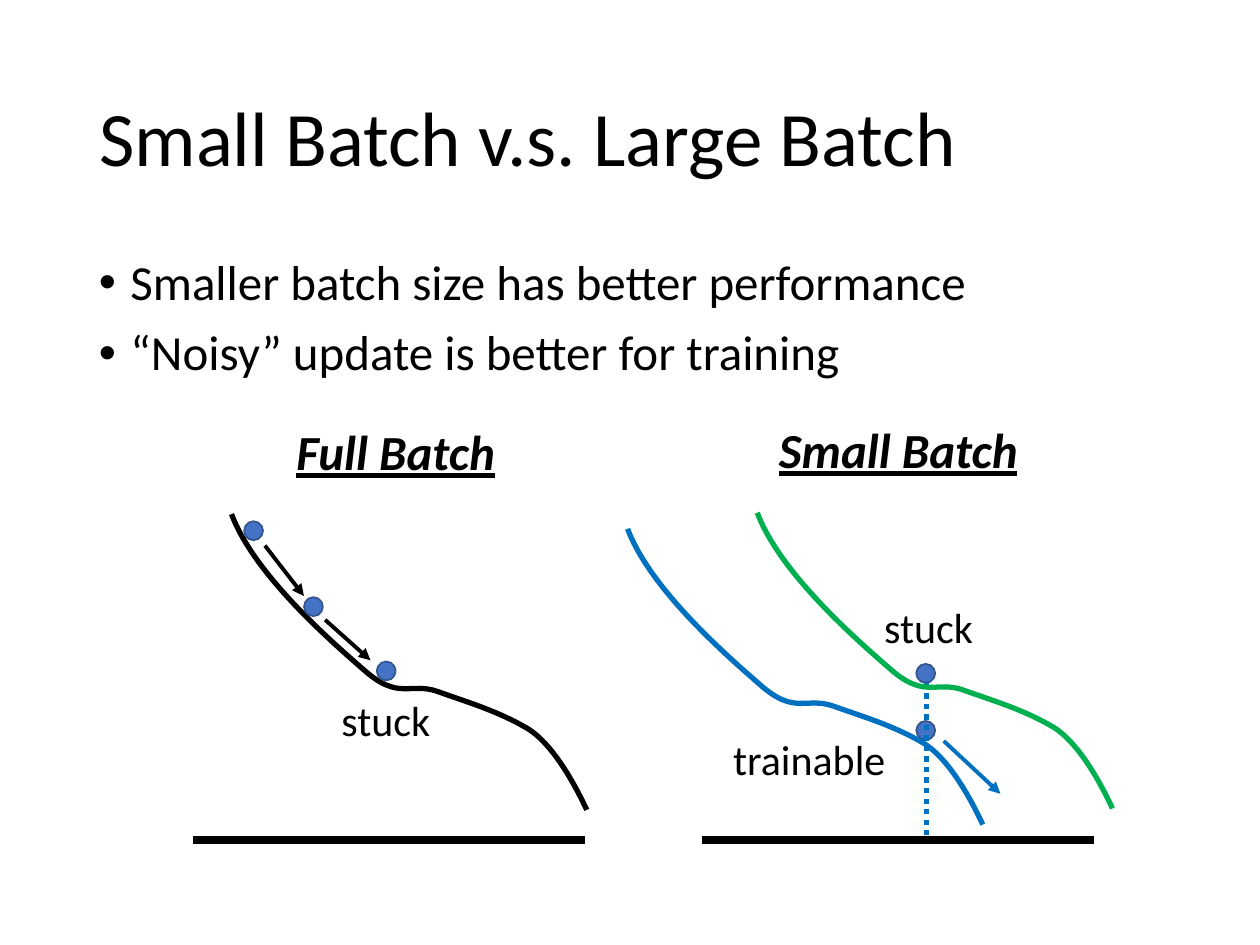
"""Build a slide that compares small and large batch training."""
from lxml.etree import SubElement as Sub
from pptx import Presentation as Deck
from pptx.dml.color import RGBColor as Rgb
from pptx.enum.dml import MSO_LINE as Dash
from pptx.enum.shapes import MSO_CONNECTOR as Link, MSO_SHAPE as Form
from pptx.enum.text import MSO_ANCHOR as Anchor, PP_ALIGN as Align
from pptx.oxml.ns import qn
from pptx.util import Pt

COLORS = {"ink": "000000", "ball": "4472C4", "rim": "325491",
          "blue": "0070C0", "green": "00B050"}
FONT = "Calibri"
BENDS = [
    (13, 34.6), (56.9, 72.7), (76.3, 89.6),
    (95.8, 106.6), (102.2, 95.8), (117.9, 101.4),
    (133.2, 107), (151.2, 112), (169, 122.4),
    (186.5, 133), (200.5, 163.8), (203, 169),
]


def color(name):
    return Rgb.from_string(COLORS[name])


def stroke(line, name, width):
    line.color.rgb = color(name)
    line.width = Pt(width)


def add_text(slide, box, lines, size, align=Align.LEFT, bullet=False,
             strong=False, wrap=False, space=None, anchor=Anchor.TOP):
    frame = slide.shapes.add_textbox(*map(Pt, box)).text_frame
    frame.word_wrap = wrap
    frame.vertical_anchor = anchor
    for i, text in enumerate(lines):
        para = frame.paragraphs[0] if i == 0 else frame.add_paragraph()
        para.alignment = align
        if space:
            para.line_spacing = space
        if i:
            para.space_before = Pt(10)
        if bullet:
            props = para._p.get_or_add_pPr()
            props.set("marL", str(Pt(18)))
            props.set("indent", str(Pt(-18)))
            Sub(props, qn("a:buFont")).set("typeface", "Arial")
            Sub(props, qn("a:buChar")).set("char", "•")
        run = para.add_run()
        run.text = text
        font = run.font
        font.name, font.size = FONT, Pt(size)
        font.color.rgb = color("ink")
        if strong:
            font.bold = font.italic = font.underline = True


def add_ball(slide, left, top):
    ball = slide.shapes.add_shape(Form.OVAL, *map(Pt, (left, top, 10.8, 10.8)))
    ball.shadow.inherit = False
    ball.fill.solid()
    ball.fill.fore_color.rgb = color("ball")
    stroke(ball.line, "rim", 1)


def add_line(slide, ends, name, width, head=False, dash=None):
    link = slide.shapes.add_connector(Link.STRAIGHT, *map(Pt, ends))
    stroke(link.line, name, width)
    if dash:
        link.line.dash_style = dash
    if head:
        Sub(link.line._get_or_add_ln(), qn("a:tailEnd")).set("type", "triangle")
    Sub(link._element.spPr, qn("a:effectLst"))


def bend_lines(curve):
    lines = list(curve._element.iter(qn("a:lnTo")))
    for i in range(0, len(lines), 3):
        trio = lines[i:i + 3]
        cubic = Sub(trio[0].getparent(), qn("a:cubicBezTo"))
        for line in trio:
            cubic.append(line[0])
            line.getparent().remove(line)


def add_curve(slide, left, top, name):
    pen = slide.shapes.build_freeform(Pt(left), Pt(top))
    pen.add_line_segments([(Pt(left + x), Pt(top + y)) for x, y in BENDS], close=False)
    curve = pen.convert_to_shape()
    bend_lines(curve)
    curve.shadow.inherit = False
    curve.fill.background()
    stroke(curve.line, name, 3)


def add_full(slide):
    add_curve(slide, 132.3, 293.8, "ink")
    for spot in [(139.5, 297.9), (173.7, 341.3), (215.3, 378)]:
        add_ball(slide, *spot)
    for ends in [(151.4, 311.8, 173.7, 340.6), (185.8, 354.2, 211.7, 377.3)]:
        add_line(slide, ends, "ink", 2.25, head=True)
    add_line(slide, (110.2, 480.2, 334.4, 480.2), "ink", 4.5)
    add_text(slide, (188, 393.5, 65.5, 36.4), ["stuck"], 24)
    add_text(slide, (155.2, 237.2, 141.8, 41.2), ["Full Batch"], 28, Align.CENTER, strong=True)


def add_small(slide):
    add_ball(slide, 523.6, 379.4)
    add_line(slide, (401, 480.2, 625, 480.2), "ink", 4.5)
    add_text(slide, (498.2, 340, 65.5, 36.4), ["stuck"], 24)
    add_text(slide, (407.3, 415.4, 105.8, 36.4), ["trainable"], 24, Align.RIGHT)
    add_ball(slide, 523.6, 412)
    add_line(slide, (529.3, 390.2, 529.3, 480.2), "blue", 3, dash=Dash.ROUND_DOT)
    add_line(slide, (539.3, 423.4, 571.7, 453.6), "blue", 2.25, head=True)
    add_text(slide, (430.5, 236.2, 165.6, 41.2), ["Small Batch"], 28, Align.CENTER, strong=True)
    add_curve(slide, 432.7, 293, "green")
    add_curve(slide, 358.6, 302.2, "blue")


def main():
    deck = Deck()
    deck.slide_width, deck.slide_height = Pt(720), Pt(540)
    slide = deck.slides.add_slide(deck.slide_layouts[6])
    add_text(slide, (49.5, 144, 621, 342.7),
             ["Smaller batch size has better performance",
              "“Noisy” update is better for training"], 28,
             bullet=True, wrap=True, space=0.9)
    add_text(slide, (49.7, 28.8, 621, 104.4), ["Small Batch v.s. Large Batch"], 44,
             wrap=True, space=0.9, anchor=Anchor.MIDDLE)
    add_full(slide)
    add_small(slide)
    deck.save("out.pptx")


if __name__ == "__main__":
    main()
